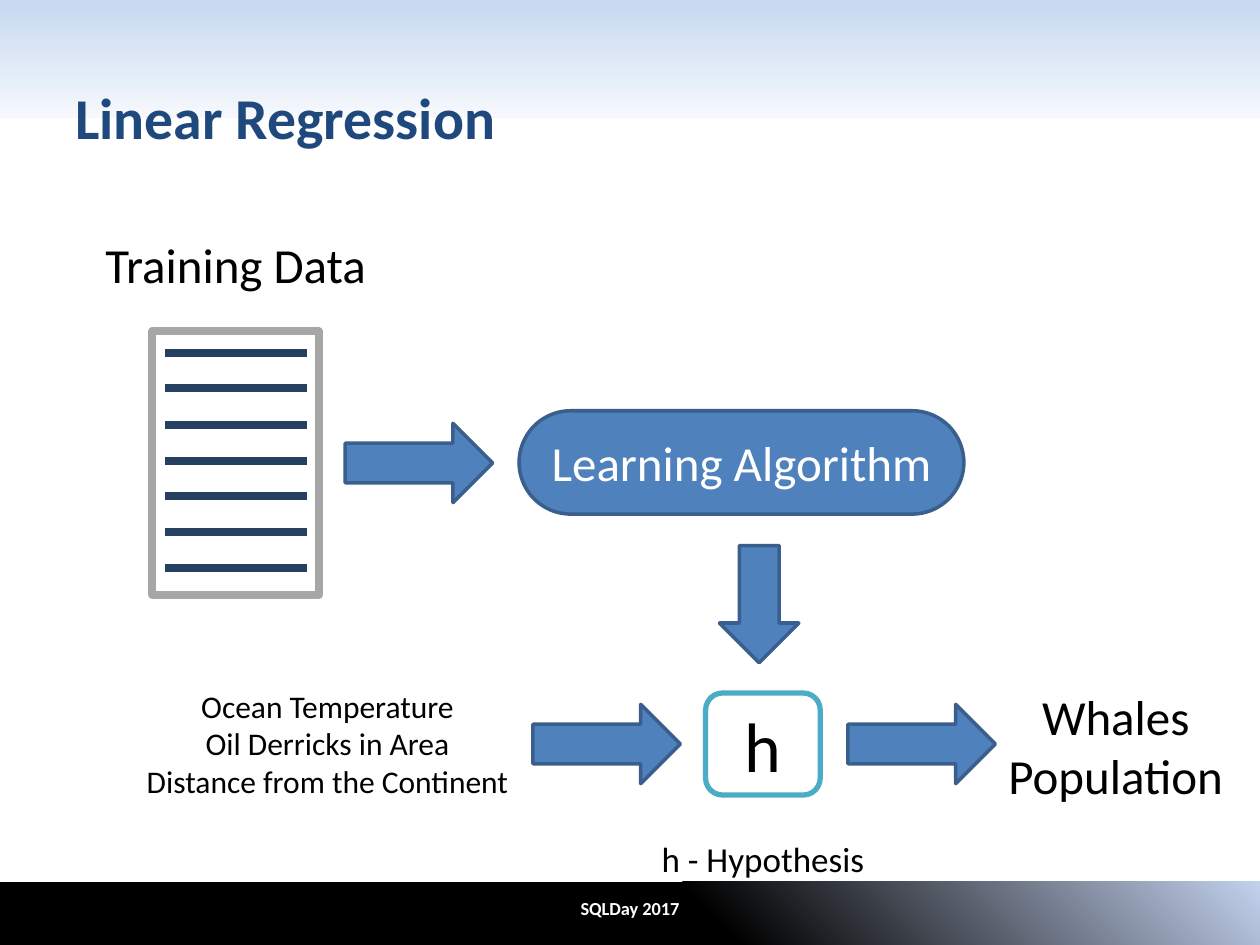
from lxml.etree import SubElement
from pptx import Presentation
from pptx.dml.color import RGBColor
from pptx.enum.shapes import MSO_CONNECTOR, MSO_SHAPE as Shape
from pptx.enum.text import MSO_ANCHOR as Anchor, PP_ALIGN as Align
from pptx.oxml.ns import qn
from pptx.util import Emu, Pt

EMU_PER_PX = 9144
FONT = "Calibri"
BLACK = RGBColor(0x00, 0x00, 0x00)
WHITE = RGBColor(0xFF, 0xFF, 0xFF)
SKY = RGBColor(0xC6, 0xD9, 0xF1)
MIST = RGBColor(0xF6, 0xF8, 0xFC)
HAZE = RGBColor(0xC2, 0xD1, 0xED)
TITLE_BLUE = RGBColor(0x1F, 0x49, 0x7D)
BLUE = RGBColor(0x4F, 0x81, 0xBD)
BLUE_EDGE = RGBColor(0x3A, 0x5F, 0x8C)
NAVY = RGBColor(0x25, 0x40, 0x61)
GREY = RGBColor(0xA6, 0xA6, 0xA6)
TEAL = RGBColor(0x4B, 0xAC, 0xC6)


def px(*lengths):
    """Turn px lengths into EMU."""
    return [Emu(length * EMU_PER_PX) for length in lengths]


def write(holder, lines, size, color=BLACK, bold=False, align=Align.CENTER, anchor=Anchor.TOP):
    """Fill a text frame with one paragraph per line."""
    frame = holder.text_frame
    frame.word_wrap = True
    frame.vertical_anchor = anchor
    frame.text = "\n".join(lines)
    for paragraph in frame.paragraphs:
        paragraph.alignment = align
        font = paragraph.font
        font.name, font.size, font.bold = FONT, Pt(size), bold
        font.color.rgb = color


def add_label(slide, box, lines, size, **style):
    """Add a text box at the given box."""
    write(slide.shapes.add_textbox(*px(*box)), lines, size, **style)


def add_band(slide, box, stops, angle):
    """Add a borderless band with a two-stop gradient."""
    band = slide.shapes.add_shape(Shape.RECTANGLE, *px(*box))
    band.shadow.inherit = False
    band.line.fill.background()
    band.fill.gradient()
    band.fill.gradient_angle = angle
    for stop, (position, color) in zip(band.fill.gradient_stops, stops):
        stop.position = position
        stop.color.rgb = color


def add_block(slide, kind, box, fill=BLUE, edge=BLUE_EDGE, width=2):
    """Add a filled and outlined shape."""
    block = slide.shapes.add_shape(kind, *px(*box))
    block.shadow.inherit = False
    block.fill.solid()
    block.fill.fore_color.rgb = fill
    block.line.color.rgb = edge
    block.line.width = Pt(width)
    return block


def add_document(slide):
    """Draw the training data page with its evenly spaced rows."""
    add_block(slide, Shape.RECTANGLE, (121, 263, 132, 209), WHITE, GREY, 4.5)
    for index in range(7):
        y = round(280 + index * 171 / 6)
        row = slide.shapes.add_connector(MSO_CONNECTOR.STRAIGHT, *px(131, y, 244, y))
        row.line.color.rgb = NAVY
        row.line.width = Pt(4.5)
        SubElement(row._element.spPr, qn("a:effectLst"))


def main():
    """Build the linear regression slide."""
    deck = Presentation()
    deck.slide_width, deck.slide_height = px(1000, 750)
    slide = deck.slides.add_slide(deck.slide_layouts[6])

    add_band(slide, (0, 0, 1000, 94), [(0, SKY), (1, MIST)], 270)
    add_band(slide, (0, 700, 1000, 50), [(0.56, BLACK), (1, HAZE)], 45)
    add_label(slide, (279, 700, 442, 42), ["SQLDay 2017"], 10.5,
              color=WHITE, bold=True, anchor=Anchor.MIDDLE)
    add_label(slide, (50, 30, 900, 125), ["Linear Regression"], 33, color=TITLE_BLUE,
              bold=True, align=Align.LEFT, anchor=Anchor.MIDDLE)

    algorithm = add_block(slide, Shape.ROUNDED_RECTANGLE, (412, 326, 353, 82))
    algorithm.adjustments[0] = 0.5
    write(algorithm, ["Learning Algorithm"], 28, WHITE, anchor=Anchor.MIDDLE)
    hypothesis = add_block(slide, Shape.ROUNDED_RECTANGLE, (560, 550, 91, 81), WHITE, TEAL, 3)
    write(hypothesis, ["h"], 40, anchor=Anchor.MIDDLE)

    add_document(slide)
    for left, top in [(274, 336), (423, 559), (673, 559)]:
        add_block(slide, Shape.RIGHT_ARROW, (left, top, 117, 63))
    add_block(slide, Shape.RIGHT_ARROW, (556, 448, 93, 63)).rotation = 90

    add_label(slide, (65, 181, 244, 57), ["Training Data"], 28)
    add_label(slide, (500, 660, 211, 44), ["h - Hypothesis"], 20)
    add_label(slide, (98, 540, 324, 101),
              ["Ocean Temperature", "Oil Derricks in Area", "Distance from the Continent"], 18)
    add_label(slide, (789, 540, 193, 104), ["Whales", "Population"], 28)
    deck.save("out.pptx")


if __name__ == "__main__":
    main()
